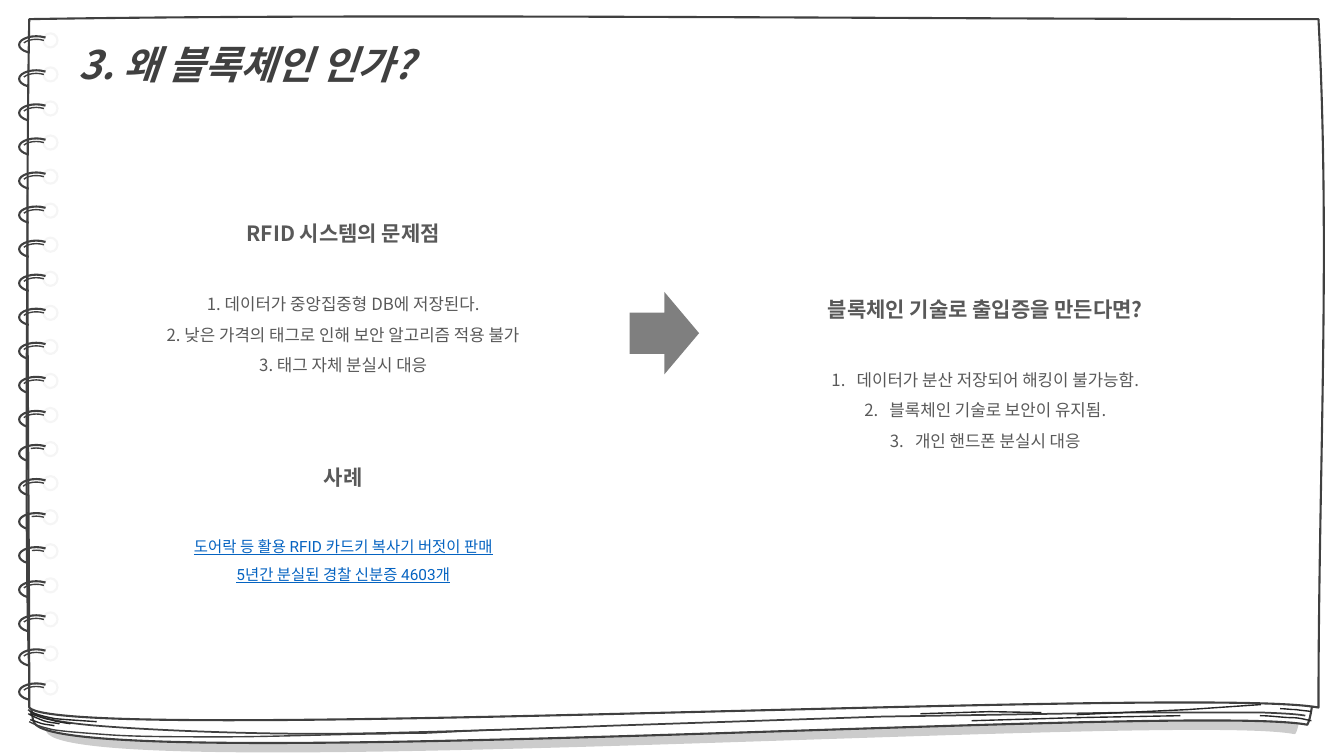
from dataclasses import dataclass

from lxml.etree import SubElement
from pptx import Presentation
from pptx.dml.color import RGBColor
from pptx.enum.shapes import MSO_SHAPE
from pptx.enum.text import MSO_ANCHOR, PP_ALIGN
from pptx.oxml.ns import qn
from pptx.shapes.autoshape import Shape
from pptx.slide import Slide
from pptx.text.text import _Paragraph
from pptx.util import Pt


@dataclass(frozen=True)
class Theme:
    paper: str = "FFFFFF"
    outline: str = "404040"
    scribble: str = "262626"
    hole: str = "F5F5F5"
    body: str = "595959"
    link: str = "0563C1"
    arrow: str = "000000"
    font: str = "Noto Sans CJK KR"
    link_font: str = "Roboto"
    title_size: float = 28
    heading_size: float = 15
    item_size: float = 12
    link_size: float = 11
    line_factor: float = 1.815


THEME = Theme()
HEADING_LINE = THEME.heading_size * THEME.line_factor


@dataclass(frozen=True)
class Stroke:
    start: tuple[float, float]
    steps: tuple[tuple[float, ...], ...]
    width: float = 1
    color: str = THEME.scribble
    fill: str | None = None


@dataclass(frozen=True)
class RingPart:
    kind: MSO_SHAPE
    left: float
    top: float
    width: float
    height: float
    line_width: float
    color: str


@dataclass(frozen=True)
class Line:
    text: str
    size: float = THEME.item_size
    bold: bool = False
    gap_lines: int = 0
    numbered: bool = False
    link: bool = False


@dataclass(frozen=True)
class Column:
    left: float
    top: float
    width: float
    height: float
    lines: tuple[Line, ...]


BACK_PAGE = Stroke((21.6, 29.5), (
    (278.6, 25.2, 630, 29.5, 934.6, 29.5), (942.5, 194.4, 947.5, 495.4, 933.8, 517.7),
    (851.8, 501.8, 41.8, 555.1, 24.5, 516.2), (16.6, 509, 18.7, 193, 21.6, 29.5),
), 1.5, THEME.outline, THEME.paper)
FRONT_PAGE = Stroke((20.9, 13.7), (
    (280.1, 9.4, 635, 13.7, 941.8, 13.7), (950.4, 178.6, 941.8, 341.3, 941.8, 505.4),
    (859, 489.6, 43.2, 532.1, 20.9, 505.4), (20.9, 341.3, 18, 176.4, 20.9, 13.7),
), 1.5, THEME.outline, THEME.paper)
PAGE_EDGES = (
    Stroke((20.2, 506.9), (
        (24.5, 511.2, 34.6, 515.5, 69.1, 518.4), (103.7, 521.3, 167.8, 524.2, 229, 524.2),
        (290.2, 524.2, 437, 518.4, 437, 518.4), (630, 511.9), (805.7, 509),
        (851, 509, 881.3, 509, 902.2, 509), (923, 509.8, 928.1, 510.5, 932.4, 511.2),
    ), 1.25, THEME.outline),
    Stroke((20.9, 515.5), (
        (25.2, 517.7, 28.8, 519.1, 38.2, 521.3), (48.2, 522.7, 58.3, 523.4, 78.5, 524.9),
        (99.4, 526.3, 128.2, 526.3, 160.6, 526.3), (193.7, 526.3, 249.8, 524.2, 275, 524.2),
        (286.6, 523.4, 295.9, 524.2, 309.6, 523.4), (323.3, 522.7, 348.5, 521.3, 357.8, 521.3),
    ), 1, THEME.outline),
    Stroke((694.1, 514.8), ((769.7, 512.6), (843.1, 511.2))),
    Stroke((657.4, 509.8), ((707, 508.3), (743.8, 509))),
    Stroke((769, 510.5), ((848.2, 506.9), (900.7, 503.3))),
    Stroke((936.7, 514.8), ((932.4, 514.1, 928.8, 512.6, 922.3, 512.6), (916.6, 512.6, 908, 511.2, 900, 511.2))),
    Stroke((936.7, 508.3), ((933.1, 507.6, 929.5, 507.6, 925.9, 506.9), (921.6, 506.9, 918, 506.2, 914.4, 506.2))),
    Stroke((21.6, 508.3), ((26.6, 510.5, 31.7, 511.9, 39.6, 513.4), (47.5, 514.1, 58.3, 514.8, 69.1, 515.5))),
    Stroke((21.6, 509.8), ((26.6, 511.2, 31, 513.4, 36, 514.1), (40.3, 515.5, 45.4, 516.2, 50.4, 517))),
    Stroke((20.2, 509.8), ((23.8, 511.9, 27.4, 513.4, 31, 514.8), (34.6, 516.2, 38.9, 516.2, 42.5, 517))),
    Stroke((21.6, 514.1), ((24.5, 514.8, 27.4, 516.2, 30.2, 517), (33.1, 517.7, 36, 517.7, 38.9, 518.4))),
)
RING_COUNT, RING_PITCH = 20, 24.33
HOLE = RingPart(MSO_SHAPE.OVAL, 31, 23.8, 10.1, 10.1, 1.5, THEME.hole)
OUTER_WIRE = RingPart(MSO_SHAPE.ARC, 13.7, 25.9, 24.5, 12.2, 1.5, THEME.outline)
INNER_WIRE = RingPart(MSO_SHAPE.ARC, 15.8, 28.1, 20.2, 10.1, 1, THEME.outline)
OUTER_START, INNER_START, WIRE_END = 80.72, 117.2, 193.3
UNEVEN_STARTS = {12: 138.14, 13: 115.22, 14: 141.26, 15: 142.01}
COLUMNS = (
    Column(81.4, 144.7, 327.6, 367.2, (
        Line("RFID 시스템의 문제점", THEME.heading_size, True),
        Line("1. 데이터가 중앙집중형 DB에 저장된다.", gap_lines=1),
        Line("2. 낮은 가격의 태그로 인해 보안 알고리즘 적용 불가"),
        Line("3. 태그 자체 분실시 대응"),
        Line("사례", THEME.heading_size, True, gap_lines=2),
        Line("도어락 등 활용 RFID 카드키 복사기 버젓이 판매", THEME.link_size, gap_lines=1, link=True),
        Line("5년간 분실된 경찰 신분증 4603개", THEME.link_size, link=True),
    )),
    Column(540, 198.7, 327.6, 151.2, (
        Line("블록체인 기술로 출입증을 만든다면?", THEME.heading_size, True),
        Line("데이터가 분산 저장되어 해킹이 불가능함.", gap_lines=1, numbered=True),
        Line("블록체인 기술로 보안이 유지됨.", numbered=True),
        Line("개인 핸드폰 분실시 대응", numbered=True),
    )),
)


def paint(shape: Shape, fill: str | None, line: str | None, width: float = 1) -> None:
    shape.shadow.inherit = False
    if fill:
        shape.fill.solid()
        shape.fill.fore_color.rgb = RGBColor.from_string(fill)
    else:
        shape.fill.background()
    if line:
        shape.line.color.rgb = RGBColor.from_string(line)
        shape.line.width = Pt(width)
    else:
        shape.line.fill.background()


def bend_segments(shape: Shape, stroke: Stroke) -> None:
    segments = iter(list(shape._element.iter(qn("a:lnTo"))))
    for step in stroke.steps:
        first = next(segments)
        if len(step) == 6:
            first.tag = qn("a:cubicBezTo")
            for follower in (next(segments), next(segments)):
                first.append(follower[0])
                follower.getparent().remove(follower)


def draw_stroke(slide: Slide, stroke: Stroke) -> Shape:
    points = [(Pt(x), Pt(y)) for step in stroke.steps for x, y in zip(step[::2], step[1::2])]
    builder = slide.shapes.build_freeform(Pt(stroke.start[0]), Pt(stroke.start[1]))
    builder.add_line_segments(points, close=stroke.fill is not None)
    shape = builder.convert_to_shape()
    bend_segments(shape, stroke)
    paint(shape, stroke.fill, stroke.color, stroke.width)
    return shape


def add_page_shadow(shape: Shape) -> None:
    effects = shape._element.spPr.find(qn("a:effectLst"))
    shadow = SubElement(effects, qn("a:outerShdw"), dist=str(Pt(6)), dir="5400000", sx="98000", algn="ctr", rotWithShape="0")
    SubElement(SubElement(shadow, qn("a:srgbClr"), val="000000"), qn("a:alpha"), val="20000")


def draw_ring_part(slide: Slide, part: RingPart, offset: float, start: float | None = None) -> None:
    shape = slide.shapes.add_shape(part.kind, Pt(part.left), Pt(part.top + offset), Pt(part.width), Pt(part.height))
    paint(shape, THEME.paper if start is None else None, part.color, part.line_width)
    if start is not None:
        shape.adjustments[0], shape.adjustments[1] = start, WIRE_END


def style_text(para: _Paragraph, size: float, color: str, bold: bool, font: str = THEME.font) -> None:
    for span in para.runs:
        span.font.size, span.font.bold, span.font.name = Pt(size), bold, font
        span.font.color.rgb = RGBColor.from_string(color)
        SubElement(span.font._element, qn("a:ea"), typeface=THEME.font)


def draw_title(page: Shape, text: str) -> None:
    frame = page.text_frame
    frame.margin_left, frame.margin_top, frame.margin_right, frame.margin_bottom = Pt(38.1), Pt(19.4), Pt(7.2), Pt(3.6)
    frame.vertical_anchor = MSO_ANCHOR.TOP
    para = frame.paragraphs[0]
    para.text = text
    para.alignment = PP_ALIGN.LEFT
    style_text(para, THEME.title_size, THEME.outline, True)
    para.runs[0].font.italic = True


def draw_column(slide: Slide, column: Column) -> None:
    box = slide.shapes.add_textbox(Pt(column.left), Pt(column.top), Pt(column.width), Pt(column.height))
    frame = box.text_frame
    frame.word_wrap = True
    for index, line in enumerate(column.lines):
        para = frame.add_paragraph() if index else frame.paragraphs[0]
        para.text = line.text
        para.alignment = PP_ALIGN.CENTER
        para.line_spacing = Pt(line.size * THEME.line_factor)
        para.space_before = Pt(line.gap_lines * HEADING_LINE)
        color, font = (THEME.link, THEME.link_font) if line.link else (THEME.body, THEME.font)
        style_text(para, line.size, color, line.bold, font)
        para.runs[0].font.underline = line.link
        if line.numbered:
            properties = para._p.get_or_add_pPr()
            properties.set("marL", str(Pt(18)))
            properties.set("indent", str(Pt(-18)))
            SubElement(properties, qn("a:buFont"), typeface="+mj-lt")
            SubElement(properties, qn("a:buAutoNum"), type="arabicPeriod")


def draw_arrow(slide: Slide) -> None:
    arrow = slide.shapes.add_shape(MSO_SHAPE.DOWN_ARROW, Pt(445), Pt(213.1), Pt(59), Pt(49.7))
    arrow.rotation = 270
    paint(arrow, THEME.arrow, None)
    SubElement(arrow._element.spPr.find(f".//{qn('a:srgbClr')}"), qn("a:alpha"), val="50000")


def main() -> None:
    deck = Presentation()
    deck.slide_width, deck.slide_height = Pt(960), Pt(540)
    slide = deck.slides.add_slide(deck.slide_layouts[6])
    add_page_shadow(draw_stroke(slide, BACK_PAGE))
    draw_title(draw_stroke(slide, FRONT_PAGE), "3. 왜 블록체인 인가?")
    for edge in PAGE_EDGES:
        draw_stroke(slide, edge)
    for index in range(RING_COUNT):
        offset = index * RING_PITCH
        draw_ring_part(slide, HOLE, offset)
        draw_ring_part(slide, OUTER_WIRE, offset, OUTER_START)
        draw_ring_part(slide, INNER_WIRE, offset, UNEVEN_STARTS.get(index, INNER_START))
    for column in COLUMNS:
        draw_column(slide, column)
    draw_arrow(slide)
    deck.save("out.pptx")


if __name__ == "__main__":
    main()
